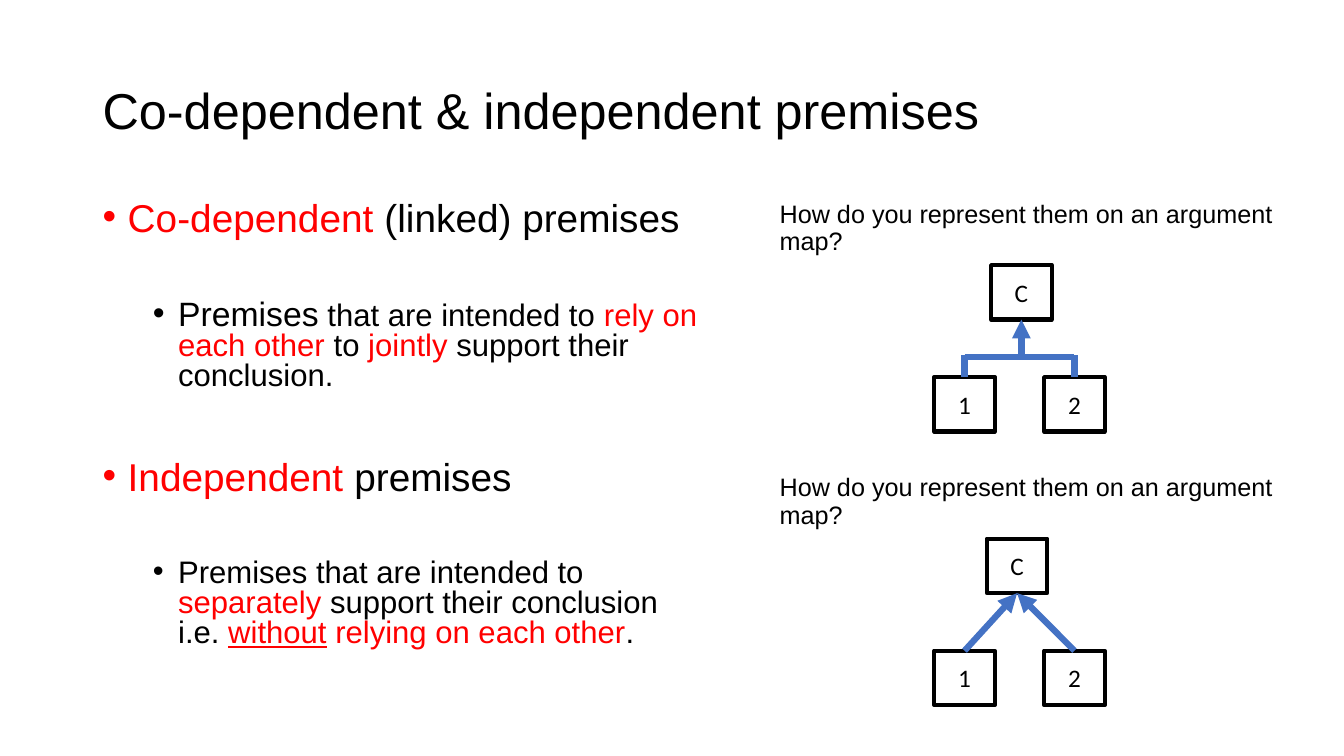
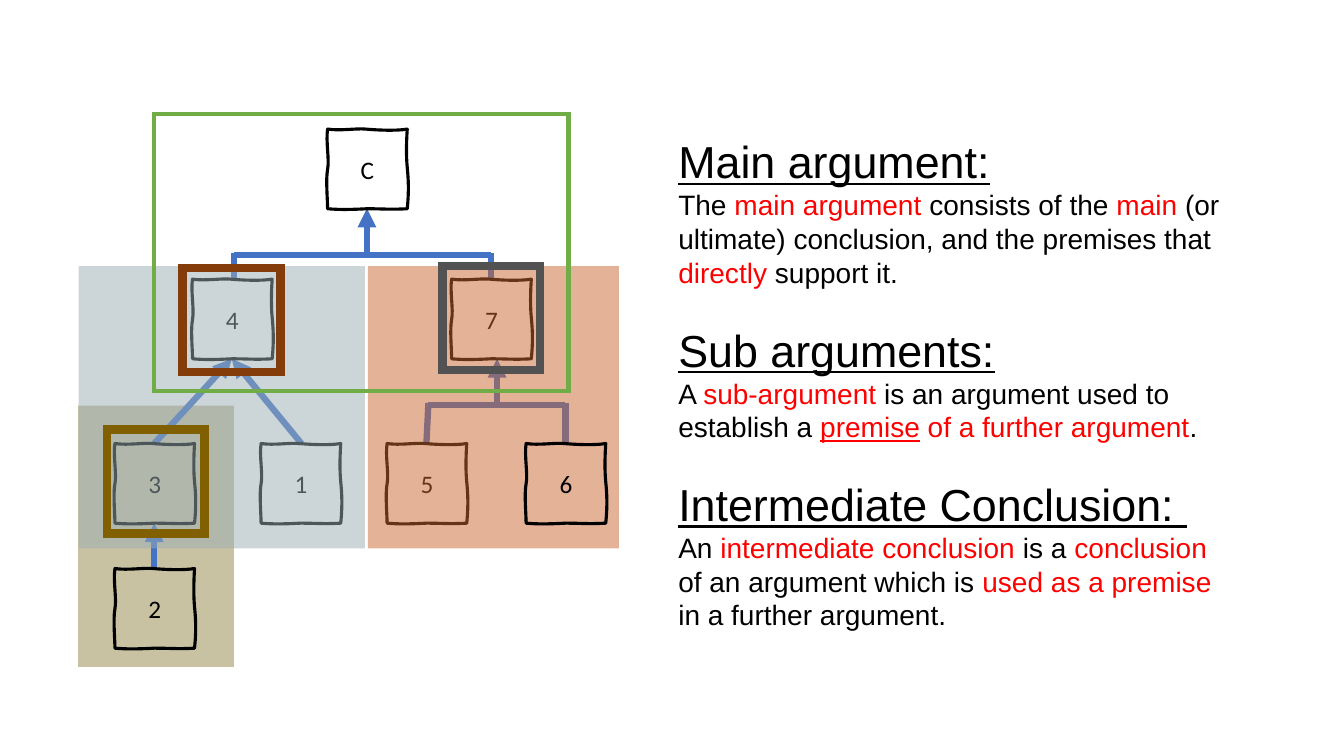
"""Build two slides on argument maps: kinds of premises and parts of an argument."""
from lxml import etree
from pptx import Presentation
from pptx.dml.color import RGBColor
from pptx.enum.shapes import MSO_CONNECTOR, MSO_SHAPE
from pptx.enum.text import MSO_ANCHOR, PP_ALIGN
from pptx.oxml.ns import qn
from pptx.util import Pt

STRAIGHT, ELBOW, RECT = MSO_CONNECTOR.STRAIGHT, MSO_CONNECTOR.ELBOW, MSO_SHAPE.RECTANGLE
MIDDLE, CENTER = MSO_ANCHOR.MIDDLE, PP_ALIGN.CENTER
TOP, BOTTOM = 0, 2
BLACK = RGBColor(0x00, 0x00, 0x00)
RED = RGBColor(0xFF, 0x00, 0x00)
BLUE = RGBColor(0x44, 0x72, 0xC4)
OLIVE = RGBColor(0x95, 0x86, 0x46)
ORANGE = RGBColor(0xC9, 0x67, 0x31)
SLATE = RGBColor(0x9B, 0xAF, 0xB5)
BROWN = RGBColor(0x84, 0x3C, 0x0B)
GOLD = RGBColor(0x80, 0x60, 0x00)
GRAY = RGBColor(0x52, 0x52, 0x52)
GREEN = RGBColor(0x70, 0xAD, 0x47)


def write(p, text, size=18, font="Arial", spacing=1.0, before=0, align=None):
    """Add text to a paragraph; *stars* make it red and _underscores_ underline it."""
    p.line_spacing, p.space_before, p.alignment = spacing, Pt(before), align
    for i, part in enumerate(text.split("*")):
        for j, piece in enumerate(part.split("_")):
            if piece:
                r = p.add_run()
                r.text = piece
                r.font.size, r.font.name = Pt(size), font
                r.font.color.rgb = RED if i % 2 else BLACK
                r.font.underline = bool(j % 2)


def connect(s, x1, y1, x2, y2, arrow=False, kind=STRAIGHT):
    """Add a blue line; an elbow runs level first and turns at its far end."""
    c = s.shapes.add_connector(kind, Pt(x1), Pt(y1), Pt(x2), Pt(y2))
    c.line.color.rgb, c.line.width = BLUE, Pt(4.5)
    if kind == ELBOW:
        guides = c._element.spPr.find(".//" + qn("a:avLst"))
        etree.SubElement(guides, qn("a:gd"), name="adj1", fmla="val 100000")
    if arrow:
        etree.SubElement(c.line._get_or_add_ln(), qn("a:tailEnd"), type="triangle")
    etree.SubElement(c._element.spPr, qn("a:effectLst"))
    return c


prs = Presentation()
prs.slide_width, prs.slide_height = Pt(960), Pt(540)
blank = prs.slide_layouts[6]

s = prs.slides.add_slide(blank)
tf = s.shapes.add_textbox(Pt(66.2), Pt(28.8), Pt(828), Pt(104.4)).text_frame
tf.word_wrap, tf.vertical_anchor = True, MIDDLE
write(tf.paragraphs[0], "Co-dependent & independent premises", size=36, spacing=0.9)

body = [
    (18, 0, [("*Co-dependent* (linked) premises", 27.7)]),
    (54, 43.6, [("Premises", 24.1),
                (" that are intended to *rely on each other *to *jointly* support their conclusion.", 22.2)]),
    (18, 49.2, [("*Independent* premises", 27.7)]),
    (54, 43.6, [("Premises that are intended to *separately* support their conclusion i.e. "
                 "*_without_ relying on each other*.", 22.2)]),
]
tf = s.shapes.add_textbox(Pt(66.2), Pt(141), Pt(443), Pt(345.6)).text_frame
tf.word_wrap = True
for i, (margin, before, parts) in enumerate(body):
    p = tf.add_paragraph() if i else tf.paragraphs[0]
    pPr = p._p.get_or_add_pPr()
    pPr.set("marL", str(Pt(margin)))
    pPr.set("indent", str(Pt(-18)))
    etree.SubElement(pPr, qn("a:buFont"), typeface="Arial")
    etree.SubElement(pPr, qn("a:buChar"), char="•")
    for text, size in parts:
        write(p, text, size=size, spacing=0.8, before=before)

BOX_W, BOX_H = 43.2, 38.9
for top, c_left, linked in [(189.4, 708, True), (384.8, 704.9, False)]:
    tf = s.shapes.add_textbox(Pt(549.8), Pt(top - 49), Pt(400), Pt(48)).text_frame
    tf.word_wrap = True
    write(tf.paragraphs[0], "How do you represent them on an argument map?", spacing=0.9)

    boxes = []
    for label, x, y in [("C", c_left, top), ("1", 667.4, top + 80), ("2", 745.9, top + 80)]:
        sp = s.shapes.add_shape(RECT, Pt(x), Pt(y), Pt(BOX_W), Pt(BOX_H))
        sp.shadow.inherit = False
        sp.fill.background()
        sp.line.color.rgb, sp.line.width = BLACK, Pt(3)
        sp.text_frame.vertical_anchor = MIDDLE
        write(sp.text_frame.paragraphs[0], label, font="Calibri", align=CENTER)
        boxes.append(sp)

    conclusion, *premises = boxes
    c_mid, bar_y = c_left + BOX_W / 2, top + 65.5
    mids = [667.4 + BOX_W / 2, 745.9 + BOX_W / 2]
    for premise, mid in zip(premises, mids):
        if linked:
            leg = connect(s, mid, bar_y - 1, mid, top + 80)
            leg.end_connect(premise, TOP)
        else:
            c = connect(s, mid, top + 80, c_mid, top + BOX_H, arrow=True)
            c.begin_connect(premise, TOP)
            c.end_connect(conclusion, BOTTOM)
    if linked:
        connect(s, mids[0], bar_y, c_mid, top + BOX_H, arrow=True, kind=ELBOW)
        connect(s, c_mid, bar_y, mids[1], bar_y)

s = prs.slides.add_slide(blank)
lines = [
    (110.2, 316.8, 165.6, 256.3, True),
    (215.3, 316.8, 165.6, 256.3, True),
    (110.2, 406.1, 110.2, 373.7, True),
]
for left, right, mid, bar_from, tip_y, bar_y, foot_x, foot_y in [
    (306, 403.9, 355, 355, 256.3, 289.4, 304.6, 316.8),
    (167, 350.6, 262.1, 242.6, 149, 182.2, 167, 199.4),
]:
    lines += [
        (left, bar_y, mid, tip_y, True, ELBOW),
        (left, bar_y - 1.5, foot_x, foot_y),
        (bar_from, bar_y, right, bar_y),
        (right, bar_y - 1.5, right, foot_y),
    ]

SIDE = 56.9
sketch_curves = [
    ((9.4, 1.4), (20.2, -0.7), (27.4, 0)),
    ((34.6, 0.7), (49, 1.4), (SIDE, 0)),
    ((56.2, 10.8), (56.2, 20.2), (SIDE, 27.4)),
    ((57.6, 34.6), (58.3, 43.2), (SIDE, SIDE)),
    ((43.9, 57.6), (40.3, SIDE), (28.1, SIDE)),
    ((15.1, 57.6), (7.9, 57.6), (0, SIDE)),
    ((0, 50.4), (-1.4, 36), (0, 28.8)),
    ((1.4, 21.6), (-1.4, 8.6), (0, 0)),
]

layers = [
    ([(55.8, 289.8, 111.2, 186.5, OLIVE)],
     lines,
     [("C", 234, 92.2), ("4", 137.5, 199.4), ("7", 322.6, 199.4), ("1", 186.5, 316.8),
      ("3", 82.1, 316.8), ("5", 276.5, 316.8), ("2", 82.1, 406.1)]),
    ([(262.8, 190.1, 179.3, 201.6, ORANGE), (56.2, 190.1, 204.5, 201.6, SLATE)],
     [],
     [("6", 375.8, 316.8)]),
]
for areas, links, boxes in layers:
    for x, y, w, h, color in areas:
        sp = s.shapes.add_shape(RECT, Pt(x), Pt(y), Pt(w), Pt(h))
        sp.shadow.inherit = False
        sp.fill.solid()
        sp.fill.fore_color.rgb = color
        sp.line.fill.background()
        tint = sp._element.spPr.find(".//" + qn("a:srgbClr"))
        etree.SubElement(tint, qn("a:alpha"), val="50000")
    for link in links:
        connect(s, *link)
    for label, x, y in boxes:
        builder = s.shapes.build_freeform(Pt(x), Pt(y))
        corners = [(x + SIDE, y), (x + SIDE, y + SIDE), (x, y + SIDE)]
        builder.add_line_segments([(Pt(cx), Pt(cy)) for cx, cy in corners], close=True)
        sp = builder.convert_to_shape()
        outline = sp._element.spPr.find(".//" + qn("a:path"))
        start, *edges, close = outline
        for edge in edges:
            outline.remove(edge)
        for curve in sketch_curves:
            bezier = etree.Element(qn("a:cubicBezTo"))
            for px, py in curve:
                etree.SubElement(bezier, qn("a:pt"), x=str(Pt(px)), y=str(Pt(py)))
            close.addprevious(bezier)
        sp.shadow.inherit = False
        sp.fill.background()
        sp.line.color.rgb, sp.line.width = BLACK, Pt(2.25)
        sp.text_frame.vertical_anchor = MIDDLE
        write(sp.text_frame.paragraphs[0], label, font="Calibri", align=CENTER)

definitions = [
    ("_Main argument:_",
     "The *main argument *consists of the *main* (or ultimate) conclusion, "
     "and the premises that *directly* support it."),
    ("_Sub arguments:_",
     "A *sub-argument* is an argument used to establish a *_premise_ of a further argument*."),
    ("_Intermediate Conclusion: _",
     "An *intermediate conclusion *is a *conclusion* of an argument which is "
     "*used as a premise* in a further argument."),
]
tf = s.shapes.add_textbox(Pt(477.4), Pt(92.2), Pt(401.8), Pt(365.8)).text_frame
tf.word_wrap = True
for i, (term, meaning) in enumerate(definitions):
    p = tf.add_paragraph() if i else tf.paragraphs[0]
    write(p, term, size=32, before=24 if i else 0)
    write(tf.add_paragraph(), meaning, size=20)

for x, y, w, h, color, width in [
    (130.5, 191.5, 69.8, 74.2, BROWN, 6),
    (76.3, 306.9, 69.8, 74.2, GOLD, 6),
    (316.1, 190.1, 69.8, 74.2, GRAY, 6),
    (110.2, 81.4, 295.9, 198, GREEN, 3),
]:
    sp = s.shapes.add_shape(RECT, Pt(x), Pt(y), Pt(w), Pt(h))
    sp.shadow.inherit = False
    sp.fill.background()
    sp.line.color.rgb, sp.line.width = color, Pt(width)
    etree.SubElement(sp.line._get_or_add_ln(), qn("a:miter"), lim="800000")

prs.save("out.pptx")
